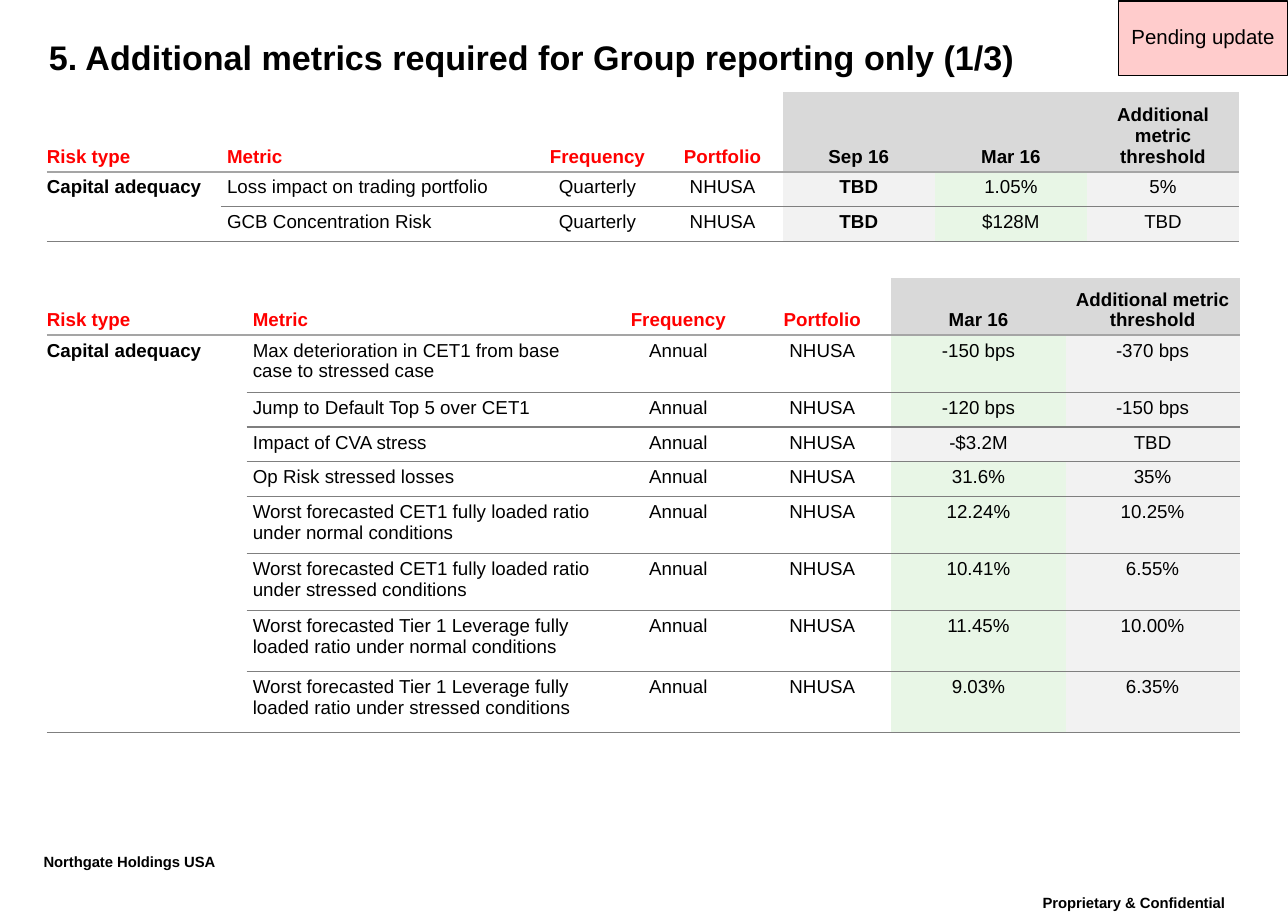
from lxml.etree import SubElement
from pptx import Presentation
from pptx.dml.color import RGBColor
from pptx.enum.shapes import MSO_SHAPE
from pptx.enum.text import MSO_ANCHOR, MSO_AUTO_SIZE, PP_ALIGN
from pptx.oxml.ns import qn
from pptx.util import Pt

BLACK = RGBColor(0x00, 0x00, 0x00)
RED = RGBColor(0xFF, 0x00, 0x00)
PINK = RGBColor(0xFF, 0xCC, 0xCC)
GREEN = RGBColor(0xE8, 0xF6, 0xE6)
PALE_GREY = RGBColor(0xF2, 0xF2, 0xF2)
HEAD_GREY = RGBColor(0xD9, 0xD9, 0xD9)
HEAD_LINE = RGBColor(0xA5, 0xA5, 0xA5)
ROW_LINE = RGBColor(0x7F, 0x7F, 0x7F)
NO_STYLE = "{2D5ABB26-0587-4C30-8999-92F81FD0307C}"

COLUMN_FILLS = {
    "Sep 16": PALE_GREY,
    "Mar 16": GREEN,
    "Additional metric threshold": PALE_GREY,
}
LEFT_COLUMNS = ("Risk type", "Metric")
RISK = "Capital adequacy"
UNIT = "NHUSA"

TRADING_HEAD = ["Risk type", "Metric", "Frequency", "Portfolio",
                "Sep 16", "Mar 16", "Additional metric threshold"]
TRADING_ROWS = [
    ("Loss impact on trading portfolio", "Quarterly", UNIT, "TBD", "1.05%", "5%"),
    ("GCB Concentration Risk", "Quarterly", UNIT, "TBD", "$128M", "TBD"),
]
STRESS_HEAD = [name for name in TRADING_HEAD if name != "Sep 16"]
STRESS_ROWS = [
    (metric, "Annual", UNIT, value, threshold)
    for metric, value, threshold in [
        ("Max deterioration in CET1 from base case to stressed case", "-150 bps", "-370 bps"),
        ("Jump to Default Top 5 over CET1", "-120 bps", "-150 bps"),
        ("Impact of CVA stress", "-$3.2M", "TBD"),
        ("Op Risk stressed losses", "31.6%", "35%"),
        ("Worst forecasted CET1 fully loaded ratio under normal conditions", "12.24%", "10.25%"),
        ("Worst forecasted CET1 fully loaded ratio under stressed conditions", "10.41%", "6.55%"),
        ("Worst forecasted Tier 1 Leverage fully loaded ratio under normal conditions",
         "11.45%", "10.00%"),
        ("Worst forecasted Tier 1 Leverage fully loaded ratio under stressed conditions",
         "9.03%", "6.35%"),
    ]
]


class SlideBuilder:
    font = "Arial"
    line_spacing = 0.86
    table_size = 11

    def __init__(self, prs):
        self.s = prs.slides.add_slide(prs.slide_layouts[5])

    def add_text(self, tf, text, size, bold=False, color=BLACK, align=PP_ALIGN.LEFT):
        p = tf.paragraphs[0]
        p.alignment = align
        r = p.add_run()
        r.text = text
        r.font.name = self.font
        r.font.size = Pt(size)
        r.font.bold = bold
        r.font.color.rgb = color
        return p, r

    def title(self, text, left, top, width, height):
        sp = self.s.shapes.title
        sp.left, sp.top, sp.width, sp.height = Pt(left), Pt(top), Pt(width), Pt(height)
        tf = sp.text_frame
        tf.auto_size = MSO_AUTO_SIZE.NONE
        tf.vertical_anchor = MSO_ANCHOR.TOP
        p, r = self.add_text(tf, text, 20, bold=True)
        p.line_spacing = self.line_spacing

    def footer(self, text, left, top, width, height, align):
        sp = self.s.shapes.add_textbox(Pt(left), Pt(top), Pt(width), Pt(height))
        sp.text_frame.word_wrap = True
        p, r = self.add_text(sp.text_frame, text, 15, bold=True, align=align)
        p.line_spacing = self.line_spacing
        r.font._element.set("baseline", "30000")

    def stamp(self, text, left, top, width, height):
        sp = self.s.shapes.add_shape(MSO_SHAPE.RECTANGLE, Pt(left), Pt(top), Pt(width), Pt(height))
        sp.shadow.inherit = False
        sp.fill.solid()
        sp.fill.fore_color.rgb = PINK
        sp.line.color.rgb = BLACK
        sp.line.width = Pt(0.75)
        tf = sp.text_frame
        tf.word_wrap = True
        tf.margin_left = tf.margin_right = Pt(3.6)
        tf.vertical_anchor = MSO_ANCHOR.MIDDLE
        p, r = self.add_text(tf, text, 12, align=PP_ALIGN.CENTER)
        p.line_spacing = self.line_spacing

    def border(self, cell, side, color, width):
        ln = SubElement(cell._tc.get_or_add_tcPr(), qn(f"a:{side}"), w=str(Pt(width)))
        fill = SubElement(ln, qn("a:solidFill"))
        SubElement(fill, qn("a:srgbClr"), val=str(color))

    def cell(self, cell, text, column, is_head, first_body):
        if not is_head:
            top = (HEAD_LINE, 1) if first_body else (ROW_LINE, 0.75)
            self.border(cell, "lnT", *top)
        self.border(cell, "lnB", *((HEAD_LINE, 1) if is_head else (ROW_LINE, 0.75)))
        fill = COLUMN_FILLS.get(column)
        if fill is None:
            cell.fill.background()
        else:
            cell.fill.solid()
            if is_head:
                fill = HEAD_GREY
            elif text == "-$3.2M":
                fill = PALE_GREY
            cell.fill.fore_color.rgb = fill
        cell.margin_left = Pt(0 if column == "Risk type" else 3.6)
        cell.margin_right = Pt(3.6)
        cell.margin_top, cell.margin_bottom = Pt(3), Pt(2.5)
        cell.vertical_anchor = MSO_ANCHOR.BOTTOM if is_head else MSO_ANCHOR.TOP
        if text:
            p, r = self.add_text(
                cell.text_frame, text, self.table_size,
                bold=is_head or column in ("Risk type", "Sep 16"),
                color=RED if is_head and column not in COLUMN_FILLS else BLACK,
                align=PP_ALIGN.LEFT if column in LEFT_COLUMNS else PP_ALIGN.CENTER)
            p.space_after = Pt(2)

    def table(self, head, body, left, top, widths, heights):
        frame = self.s.shapes.add_table(
            len(heights), len(widths), Pt(left), Pt(top), Pt(sum(widths)), Pt(sum(heights)))
        table = frame.table
        table.first_row = table.horz_banding = False
        table._tbl.tblPr.find(qn("a:tableStyleId")).text = NO_STYLE
        for column, width in zip(table.columns, widths):
            column.width = Pt(width)
        for row, height in zip(table.rows, heights):
            row.height = Pt(height)
        table.cell(1, 0).merge(table.cell(len(body), 0))
        rows = [head] + [(RISK if i == 0 else "", *row) for i, row in enumerate(body)]
        for i, row in enumerate(rows):
            for j, text in enumerate(row):
                cell = table.cell(i, j)
                if not cell.is_spanned or i == len(body):
                    self.cell(cell, text, head[j], i == 0, i == 1)


def main():
    prs = Presentation()
    prs.slide_width, prs.slide_height = Pt(756), Pt(540)
    slide = SlideBuilder(prs)
    slide.footer("Proprietary & Confidential", 587, 522, 157, 25, PP_ALIGN.CENTER)
    slide.footer("Northgate Holdings USA", 18.5, 497.5, 160, 25, PP_ALIGN.LEFT)
    slide.title("5. Additional metrics required for Group reporting only (1/3)", 21.5, 21, 707, 28)
    slide.table(TRADING_HEAD, TRADING_ROWS, 27.5, 54,
                [102.2, 182.9, 76.3, 70.6] + [89.3] * 3,
                [46.9] + [20.5] * 2)
    slide.table(STRESS_HEAD, STRESS_ROWS, 27.5, 163.2,
                [117.3, 209.5, 87.8, 81.2] + [102.2] * 2,
                [33.5] * 2 + [20.5] * 3 + [33.5] * 2 + [35.8] * 2)
    slide.stamp("Pending update", 656.6, 0.6, 99.2, 44)
    prs.save("out.pptx")


if __name__ == "__main__":
    main()
